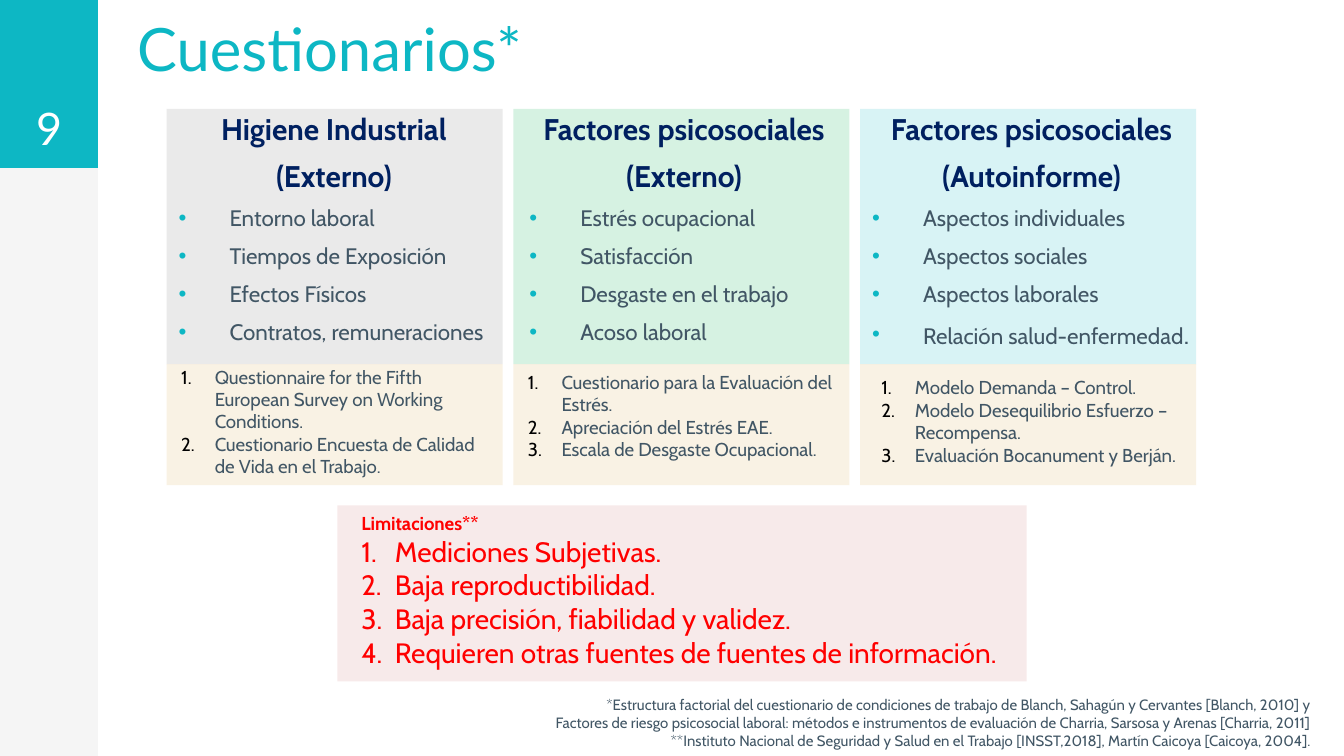
from dataclasses import dataclass

from lxml import etree
from pptx import Presentation
from pptx.dml.color import RGBColor
from pptx.enum.shapes import MSO_SHAPE
from pptx.enum.text import MSO_ANCHOR, MSO_AUTO_SIZE, PP_ALIGN
from pptx.oxml.ns import qn
from pptx.util import Inches, Pt

RECTANGLE = MSO_SHAPE.RECTANGLE
TOP, BOTTOM = MSO_ANCHOR.TOP, MSO_ANCHOR.BOTTOM
LEFT, CENTER, RIGHT = PP_ALIGN.LEFT, PP_ALIGN.CENTER, PP_ALIGN.RIGHT
NO_AUTOFIT = MSO_AUTO_SIZE.NONE

TEAL, NAVY, SLATE = "0DB7C4", "002060", "415665"
BLACK, WHITE, RED, SAND = "000000", "FFFFFF", "FF0000", "E7C586"

TITLE_STYLE = {"name": "Lato", "size": Pt(32), "bold": False, "color": TEAL}
NUMBER_STYLE = {"name": "Lato", "size": Pt(24), "bold": False, "color": WHITE}
HEADING_STYLE = {"name": "Cabin", "size": Pt(16), "bold": True, "color": NAVY}
BULLET_STYLE = {"name": "Cabin", "size": Pt(12), "bold": False, "color": SLATE}
LIST_STYLE = {**BULLET_STYLE, "size": Pt(10)}
NOTE_STYLE = {**BULLET_STYLE, "size": Pt(8)}
LIMITS_HEADING_STYLE = {"name": "Cabin", "size": Pt(10), "bold": True, "color": RED}
LIMITS_STYLE = {**LIMITS_HEADING_STYLE, "size": Pt(15), "bold": False}

SLIDE_WIDTH = 10
SLIDE_HEIGHT = SLIDE_WIDTH * 9 / 16
COLUMN_LEFT, COLUMN_PITCH, COLUMN_WIDTH = 1.24, 2.58, 2.5
PANEL_TOP, PANEL_HEIGHT, LIST_HEIGHT = 0.81, 1.9, 0.9


@dataclass
class Line:
    text: str
    style: dict
    align: PP_ALIGN = LEFT
    space_before: float = 0
    marker: str = ""
    marker_color: str = BLACK
    indent: float = 0
    ending: str = ""
    ending_size: float = 14


@dataclass
class Column:
    color: str
    headings: list[str]
    bullets: list[str]
    questionnaires: list[str]
    text_left: float
    text_width: float
    list_left: float
    list_top: float
    ending: str = ""


COLUMNS = [
    Column("7F7F7F", ["Higiene Industrial", "(Externo)"],
           ["Entorno laboral", "Tiempos de Exposición", "Efectos Físicos",
            "Contratos, remuneraciones"],
           ["Questionnaire for the Fifth European Survey on Working Conditions.",
            "Cuestionario Encuesta de Calidad de Vida en el Trabajo."],
           1.23, 2.51, 1.25, 2.67),
    Column("00B050", ["Factores psicosociales", "(Externo)"],
           ["Estrés ocupacional", "Satisfacción", "Desgaste en el trabajo",
            "Acoso laboral"],
           ["Cuestionario para la Evaluación del Estrés.",
            "Apreciación del Estrés EAE.", "Escala de Desgaste Ocupacional."],
           3.84, 2.5, 3.83, 2.71),
    Column(TEAL, ["Factores psicosociales", "(Autoinforme)"],
           ["Aspectos individuales", "Aspectos sociales", "Aspectos laborales",
            "Relación salud-enfermedad"],
           ["Modelo Demanda – Control.",
            "Modelo Desequilibrio Esfuerzo – Recompensa.",
            "Evaluación Bocanument y Berján."],
           6.39, 2.57, 6.46, 2.75, "."),
]
LIMITS = ["Mediciones Subjetivas.", "Baja reproductibilidad.",
          "Baja precisión, fiabilidad y validez.",
          "Requieren otras fuentes de fuentes de información."]
NOTES = [
    "*Estructura factorial del cuestionario de condiciones de trabajo de Blanch, "
    "Sahagún y Cervantes [Blanch, 2010] y",
    "Factores de riesgo psicosocial laboral: métodos e instrumentos de evaluación "
    "de Charria, Sarsosa y Arenas [Charria, 2011]",
    "**Instituto Nacional de Seguridad y Salud en el Trabajo [INSST,2018], "
    "Martín Caicoya [Caicoya, 2004].",
]


def rgb(color: str) -> RGBColor:
    return RGBColor.from_string(color)


def add_panel(slide, left: float, top: float, width: float, height: float,
              color: str, opacity: int = 100) -> None:
    shape = slide.shapes.add_shape(
        RECTANGLE, Inches(left), Inches(top), Inches(width), Inches(height))
    shape.shadow.inherit = False
    shape.line.fill.background()
    shape.fill.solid()
    shape.fill.fore_color.rgb = rgb(color)
    if opacity < 100:
        color_element = shape.fill._xPr.find(qn("a:solidFill"))[0]
        etree.SubElement(color_element, qn("a:alpha"), val=str(opacity * 1000))


def add_run(paragraph, text: str, style: dict) -> None:
    run = paragraph.add_run()
    run.text = text
    for name, value in style.items():
        if name == "color":
            run.font.color.rgb = rgb(value)
        else:
            setattr(run.font, name, value)


def add_marker(paragraph, line: Line) -> None:
    """Give the paragraph a hanging bullet, or a number if the marker is "1."."""
    properties = paragraph._p.get_or_add_pPr()
    properties.set("marL", str(Inches(line.indent)))
    properties.set("indent", str(-Inches(line.indent)))
    marker_color = etree.SubElement(properties, qn("a:buClr"))
    etree.SubElement(marker_color, qn("a:srgbClr"), val=line.marker_color)
    if line.marker == "1.":
        etree.SubElement(properties, qn("a:buAutoNum"), type="arabicPeriod")
    else:
        etree.SubElement(properties, qn("a:buFont"), typeface="Arial")
        etree.SubElement(properties, qn("a:buChar"), char=line.marker)


def write_lines(shape, lines: list[Line], vertical_inset: float = 0.05,
                anchor: MSO_ANCHOR = TOP) -> None:
    frame = shape.text_frame
    frame_format = {
        "word_wrap": True, "auto_size": NO_AUTOFIT, "vertical_anchor": anchor,
        "margin_left": Inches(0.1), "margin_right": Inches(0.1),
        "margin_top": Inches(vertical_inset), "margin_bottom": Inches(vertical_inset),
    }
    for name, value in frame_format.items():
        setattr(frame, name, value)
    for index, line in enumerate(lines):
        paragraph = frame.add_paragraph() if index else frame.paragraphs[0]
        if line.marker:
            add_marker(paragraph, line)
        paragraph.alignment = line.align
        paragraph.space_before = Pt(line.space_before)
        add_run(paragraph, line.text, line.style)
        if line.ending:
            add_run(paragraph, line.ending,
                    {**line.style, "size": Pt(line.ending_size)})


def add_text(slide, left: float, top: float, width: float, height: float,
             lines: list[Line], **frame_options) -> None:
    box = slide.shapes.add_textbox(
        Inches(left), Inches(top), Inches(width), Inches(height))
    write_lines(box, lines, **frame_options)


def numbered(texts: list[str], style: dict, color: str) -> list[Line]:
    return [Line(text, style, marker="1.", marker_color=color, indent=0.25)
            for text in texts]


def add_column(slide, column: Column, left: float) -> None:
    list_top = PANEL_TOP + PANEL_HEIGHT
    add_panel(slide, left, PANEL_TOP, COLUMN_WIDTH, PANEL_HEIGHT, column.color, 16)
    add_panel(slide, left, list_top, COLUMN_WIDTH, LIST_HEIGHT, SAND, 22)
    lines = [Line(text, HEADING_STYLE, CENTER, 6 if index else 0)
             for index, text in enumerate(column.headings)]
    lines += [Line(text, BULLET_STYLE, LEFT, 6, "•", TEAL, 0.38)
              for text in column.bullets]
    lines[-1].ending = column.ending
    add_text(slide, column.text_left, 0.72, column.text_width, 2, lines,
             vertical_inset=0.1)
    add_text(slide, column.list_left, column.list_top, COLUMN_WIDTH, 0.93,
             numbered(column.questionnaires, LIST_STYLE, BLACK))


def main() -> None:
    presentation = Presentation()
    presentation.slide_width = Inches(SLIDE_WIDTH)
    presentation.slide_height = Inches(SLIDE_HEIGHT)
    slide = presentation.slides.add_slide(presentation.slide_layouts[5])

    add_panel(slide, 0, 0, 0.73, SLIDE_HEIGHT, BLACK, 4)
    add_panel(slide, 0, 0, 0.73, 1.25, TEAL)
    add_text(slide, 0, 0, 0.73, 1.25, [Line("9", NUMBER_STYLE, CENTER)],
             vertical_inset=0.1, anchor=BOTTOM)

    title = slide.shapes.title
    title.left, title.top = Inches(0.92), Inches(0.01)
    title.width, title.height = Inches(3.88), Inches(1.25)
    write_lines(title, [Line("Cuestionarios*", TITLE_STYLE)], vertical_inset=0.08)

    for index, column in enumerate(COLUMNS):
        add_column(slide, column, COLUMN_LEFT + index * COLUMN_PITCH)

    add_panel(slide, 2.51, 3.76, 5.13, 1.31, "DFA2A2", 22)
    add_text(slide, 2.59, 3.76, 5, 1.51,
             [Line("Limitaciones**", LIMITS_HEADING_STYLE),
              *numbered(LIMITS, LIMITS_STYLE, RED)])
    add_text(slide, 1.31, 5.13, 8.55, 0.66,
             [Line(note, NOTE_STYLE, RIGHT) for note in NOTES])
    presentation.save("out.pptx")


if __name__ == "__main__":
    main()
